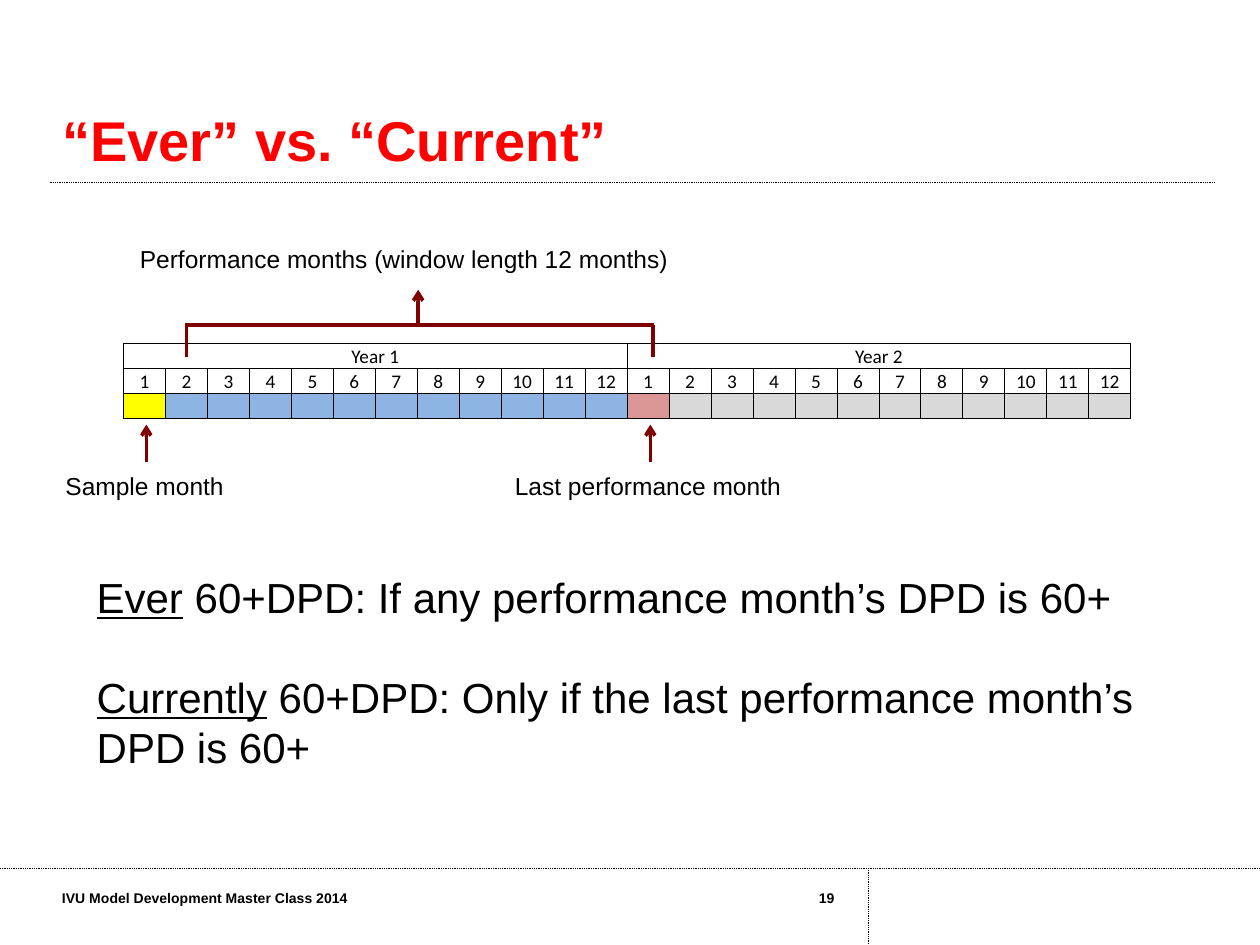
from lxml.etree import SubElement
from pptx import Presentation
from pptx.dml.color import RGBColor
from pptx.enum.dml import MSO_LINE
from pptx.enum.shapes import MSO_CONNECTOR
from pptx.enum.text import MSO_ANCHOR, MSO_AUTO_SIZE, PP_ALIGN
from pptx.oxml import parse_xml
from pptx.oxml.ns import qn
from pptx.util import Cm, Pt

# Content
TITLE = "“Ever” vs. “Current”"
FOOTER = "IVU Model Development Master Class 2014"
PAGE_NUMBER = "19"
YEARS = ["Year 1", "Year 2"]
MONTHS = 12
DEFINITIONS = [
    [("Ever", True), (" 60+DPD: If any performance month’s DPD is 60+", False)],
    [("Currently", True),
     (" 60+DPD: Only if the last performance month’s DPD is 60+", False)],
]
# Label, left, top, width (cm)
LABELS = [
    ("Sample month", 1.07, 9.37, 3.73),
    ("Performance months (window length 12 months)", 2.57, 4.8, 11.25),
    ("Last performance month", 10.13, 9.37, 5.92),
]
COLORS = {
    "text": "000000", "title": "FF0000", "arrow": "800000", "sample": "FFFF00",
    "performance": "8DB4E2", "last": "DA9694", "later": "D9D9D9",
}
MONTH_STATES = (["sample"] + ["performance"] * (MONTHS - 1)
                + ["last"] + ["later"] * (MONTHS - 1))

# Timeline grid (cm)
GRID_LEFT, GRID_TOP, COLUMN, ROW = 2.49, 6.93, 20.32 / 24, 0.5
SAMPLE_X = 2.95
LAST_X = SAMPLE_X + MONTHS * COLUMN
BRACKET_LEFT, BRACKET_RIGHT, BRACKET_TOP = 3.76, 13.16, 6.55
BRACKET_MIDDLE = (BRACKET_LEFT + BRACKET_RIGHT) / 2 - 0.03


def color(name):
    return RGBColor.from_string(COLORS[name])


def write(frame, paragraphs, size, font="Arial", bold=False, ink="text",
          align=PP_ALIGN.LEFT, gap=0):
    """Fill a text frame; each paragraph is a list of (text, underlined)."""
    for index, spans in enumerate(paragraphs):
        paragraph = frame.paragraphs[0] if index == 0 else frame.add_paragraph()
        paragraph.alignment = align
        if index:
            paragraph.space_before = Pt(gap)
        for text, underlined in spans:
            span = paragraph.add_run()
            span.text = text
            span.font.name = font
            span.font.size = Pt(size)
            span.font.bold = bold
            span.font.color.rgb = color(ink)
            if underlined:
                span.font.underline = True


def add_text(page, paragraphs, left, top, width, height, wrap=True, **style):
    box = page.shapes.add_textbox(Cm(left), Cm(top), Cm(width), Cm(height))
    box.text_frame.word_wrap = wrap
    write(box.text_frame, paragraphs, **style)


def add_line(page, x1, y1, x2, y2, ink="arrow", width=2, dash=None, arrow=False):
    line = page.shapes.add_connector(
        MSO_CONNECTOR.STRAIGHT, Cm(x1), Cm(y1), Cm(x2), Cm(y2))
    line.line.color.rgb = color(ink)
    line.line.width = Pt(width)
    if dash:
        line.line.dash_style = dash
    properties = line._element.spPr
    if arrow:
        SubElement(properties.find(qn("a:ln")), qn("a:tailEnd"), type="arrow")
    SubElement(properties, qn("a:effectLst"))


def add_borders(cell):
    properties = cell._tc.get_or_add_tcPr()
    for index, side in enumerate(("lnL", "lnR", "lnT", "lnB")):
        properties.insert(index, parse_xml(
            f'<a:{side} w="6350" '
            'xmlns:a="http://schemas.openxmlformats.org/drawingml/2006/main">'
            f'<a:solidFill><a:srgbClr val="{COLORS["text"]}"/></a:solidFill>'
            f'</a:{side}>'))


def add_timeline(page):
    count = len(MONTH_STATES)
    table = page.shapes.add_table(
        3, count, Cm(GRID_LEFT), Cm(GRID_TOP), Cm(count * COLUMN), Cm(3 * ROW)).table
    table.first_row = table.horz_banding = False
    for column in table.columns:
        column.width = Cm(COLUMN)
    for row in table.rows:
        row.height = Cm(ROW)
    for cell in table.iter_cells():
        cell.margin_left = cell.margin_right = cell.margin_top = Cm(0.03)
        cell.margin_bottom = 0
        cell.vertical_anchor = MSO_ANCHOR.MIDDLE
        cell.fill.background()
        add_borders(cell)
        # Small end mark keeps empty cells from stretching the row
        cell.text_frame.paragraphs[0]._p.get_or_add_endParaRPr().set("sz", "1100")

    style = dict(size=11, font="Calibri", align=PP_ALIGN.CENTER)
    for index, year in enumerate(YEARS):
        first = table.cell(0, index * MONTHS)
        first.merge(table.cell(0, (index + 1) * MONTHS - 1))
        first.vertical_anchor = MSO_ANCHOR.BOTTOM
        write(first.text_frame, [[(year, False)]], **style)
    for index, state in enumerate(MONTH_STATES):
        month = str(index % MONTHS + 1)
        write(table.cell(1, index).text_frame, [[(month, False)]], **style)
        fill = table.cell(2, index).fill
        fill.solid()
        fill.fore_color.rgb = color(state)


def main():
    deck = Presentation()
    deck.slide_width, deck.slide_height = Cm(25.4), Cm(19.05)
    page = deck.slides.add_slide(deck.slide_layouts[5])

    # Rules and footer
    for ends in [(1, 3.68, 24.49, 3.68), (0, 17.5, 25.4, 17.5),
                 (17.5, 17.5, 17.5, 19.05)]:
        add_line(page, *ends, ink="text", width=0.5, dash=MSO_LINE.ROUND_DOT)
    add_text(page, [[(FOOTER, False)]], 1, 17.8, 8.92, 1, size=8, bold=True)
    add_text(page, [[(PAGE_NUMBER, False)]], 14, 17.8, 3.07, 1, size=8, bold=True,
             align=PP_ALIGN.RIGHT)

    # Title
    title = page.shapes.title
    title.left, title.top, title.width, title.height = Cm(1), Cm(1), Cm(23.5), Cm(2.6)
    title.text_frame.auto_size = MSO_AUTO_SIZE.NONE
    title.text_frame.vertical_anchor = MSO_ANCHOR.BOTTOM
    write(title.text_frame, [[(TITLE, False)]], size=32, bold=True, ink="title")
    title.text_frame.paragraphs[0].line_spacing = Pt(32)

    # Timeline with its bracket, arrows and labels
    add_timeline(page)
    for x in (BRACKET_LEFT, BRACKET_RIGHT):
        add_line(page, x, BRACKET_TOP, x, 7.19)
    add_line(page, BRACKET_LEFT - 0.03, BRACKET_TOP, BRACKET_RIGHT + 0.03, BRACKET_TOP)
    add_line(page, BRACKET_MIDDLE, BRACKET_TOP, BRACKET_MIDDLE, 5.84, arrow=True)
    for x in (SAMPLE_X, LAST_X):
        add_line(page, x, 9.32, x, 8.56, arrow=True)
    for text, left, top, width in LABELS:
        add_text(page, [[(text, False)]], left, top, width, 0.86, wrap=False, size=14)

    # Definitions
    add_text(page, DEFINITIONS, 1.7, 11.4, 22.1, 4.37, size=24, gap=28)

    deck.save("out.pptx")


if __name__ == "__main__":
    main()
